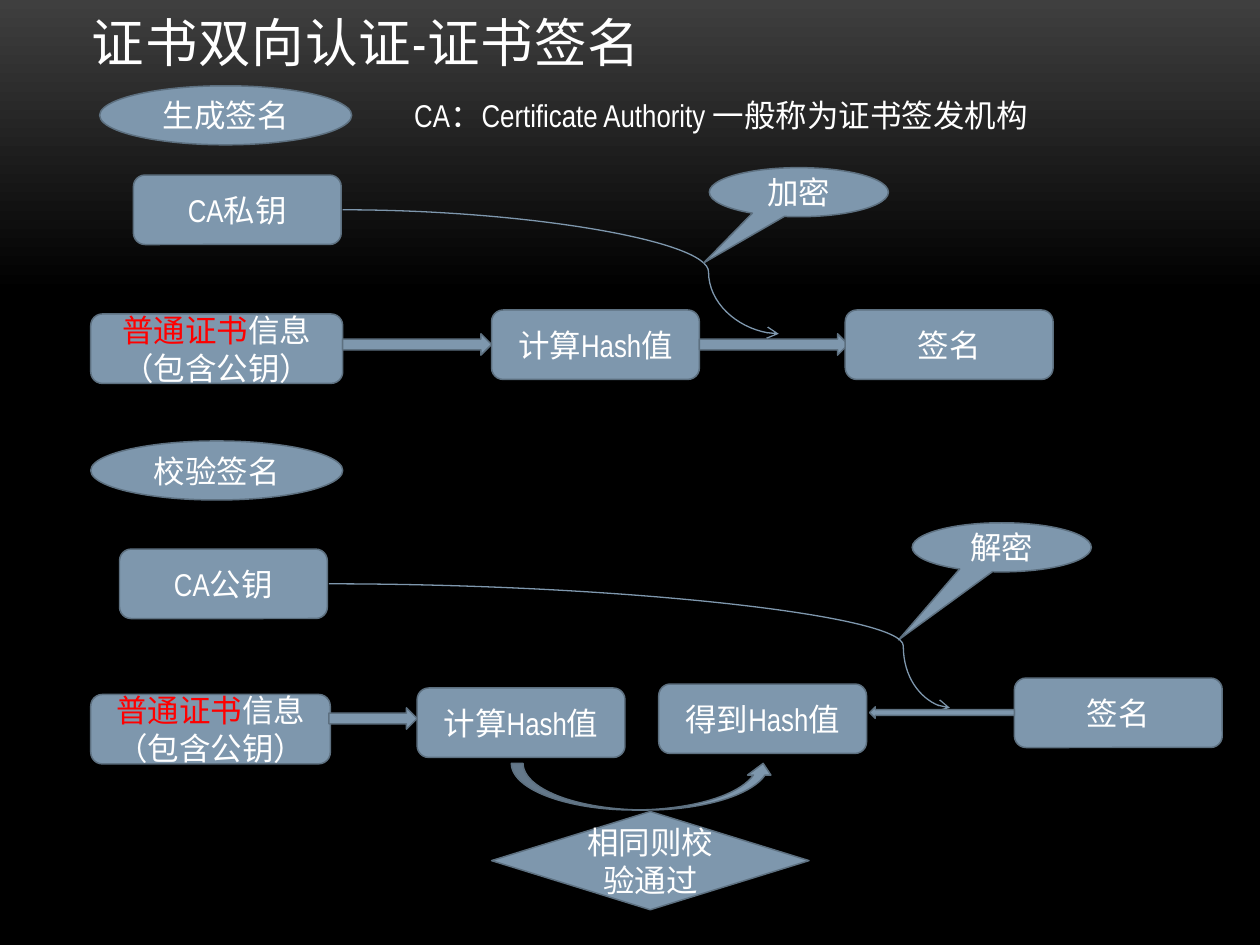
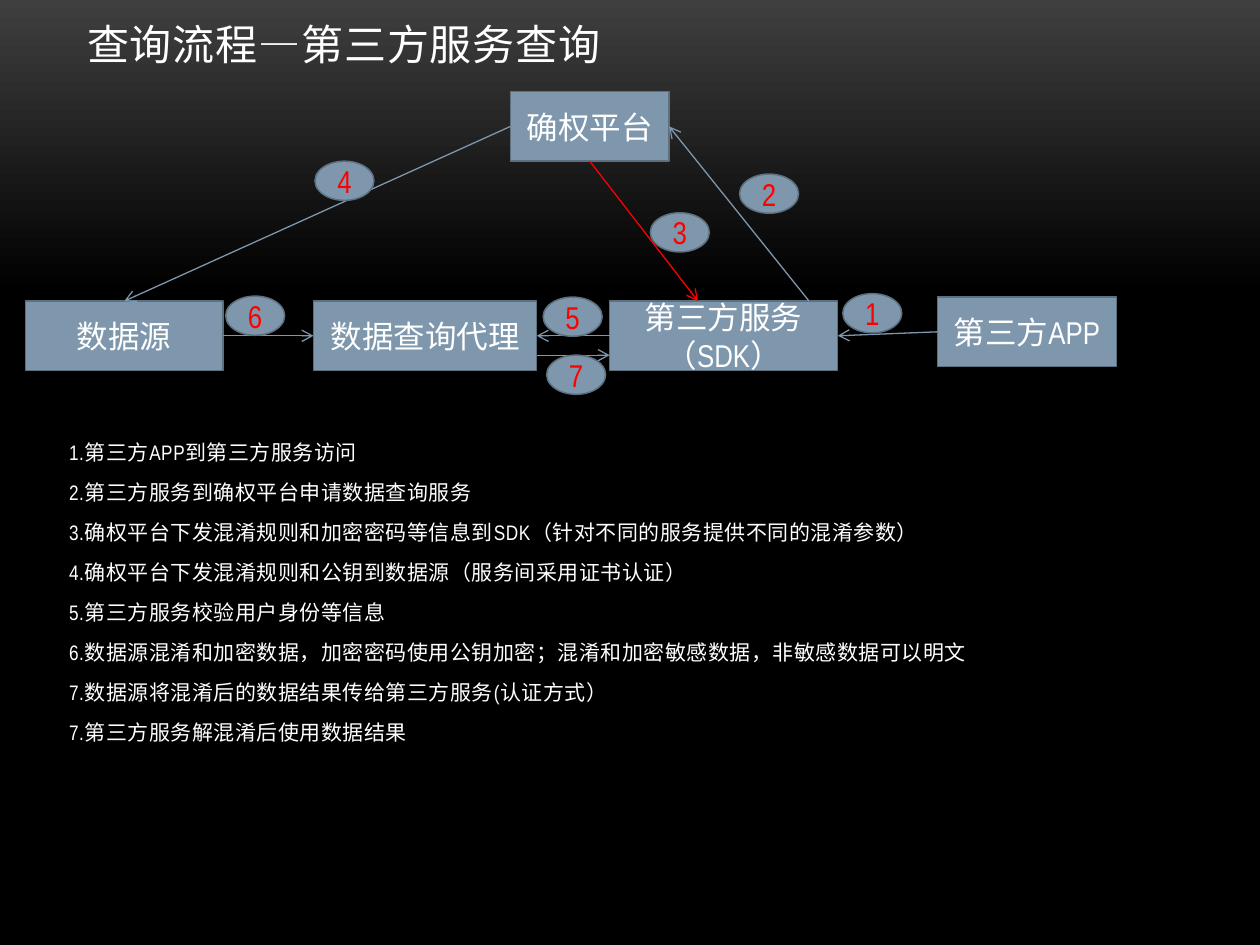
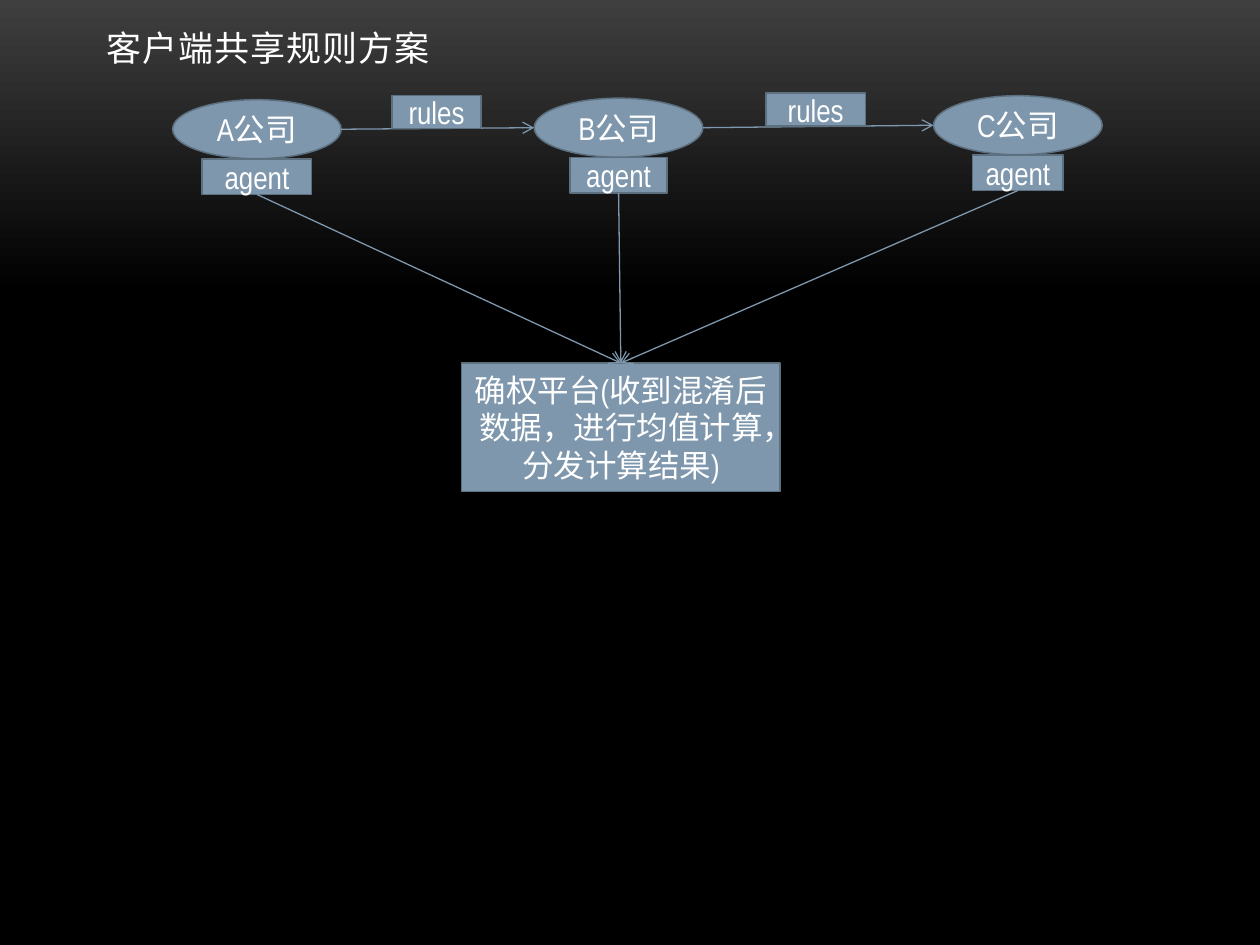
from dataclasses import dataclass
from typing import NamedTuple

from lxml import etree
from pptx import Presentation
from pptx.dml.color import RGBColor
from pptx.enum.shapes import MSO_CONNECTOR, MSO_SHAPE
from pptx.enum.text import MSO_ANCHOR, MSO_AUTO_SIZE, PP_ALIGN
from pptx.oxml.ns import qn
from pptx.util import Cm, Pt

RECT, ROUND, OVAL = MSO_SHAPE.RECTANGLE, MSO_SHAPE.ROUNDED_RECTANGLE, MSO_SHAPE.OVAL
CALLOUT, DECISION = MSO_SHAPE.OVAL_CALLOUT, MSO_SHAPE.FLOWCHART_DECISION
RIGHT_ARROW, LEFT_ARROW = MSO_SHAPE.RIGHT_ARROW, MSO_SHAPE.LEFT_ARROW
CURVED_UP = MSO_SHAPE.CURVED_UP_ARROW
STRAIGHT, CURVE = MSO_CONNECTOR.STRAIGHT, MSO_CONNECTOR.CURVE
LEFT, CENTER = PP_ALIGN.LEFT, PP_ALIGN.CENTER
TOP_ANCHOR, BOTTOM_ANCHOR, NO_FIT = MSO_ANCHOR.TOP, MSO_ANCHOR.BOTTOM, MSO_AUTO_SIZE.NONE
TOP, LEFT_SIDE, BOTTOM, RIGHT_SIDE = range(4)
TITLE_AND_BODY, TITLE_ONLY = 1, 5


@dataclass(frozen=True)
class Theme:
    font: str = "Arial Narrow"
    text: RGBColor = RGBColor(0xFF, 0xFF, 0xFF)
    accent: RGBColor = RGBColor(0xFF, 0x00, 0x00)
    fill: RGBColor = RGBColor(0x7E, 0x97, 0xAD)
    outline: RGBColor = RGBColor(0x5D, 0x70, 0x80)
    back_top: RGBColor = RGBColor(0x3F, 0x3F, 0x3F)
    back: RGBColor = RGBColor(0x00, 0x00, 0x00)
    label_size: Pt = Pt(18)
    list_size: Pt = Pt(12)
    outline_width: Pt = Pt(0.85)
    line_width: Pt = Pt(0.75)


THEME = Theme()
BOX_SIZE = (4.19, 1.4)
STAGE_SIZE = (5.08, 1.19)
CALLOUT_SIZE = (3.61, 0.99)
BADGE_SIZE = (1.19, 0.79)
COMPANY_SIZE = (3.4, 1.19)


class Box(NamedTuple):
    """A region in centimetres; its contents are given relative to its corner."""
    left: float
    top: float
    width: float
    height: float

    def point(self, x, y):
        return Cm(self.left + x), Cm(self.top + y)

    def area(self, x, y, w, h):
        return (*self.point(x, y), Cm(w), Cm(h))


def set_attrs(obj, **values):
    for name, value in values.items():
        setattr(obj, name, value)


def place(sp, box):
    set_attrs(sp, left=Cm(box.left), top=Cm(box.top), width=Cm(box.width), height=Cm(box.height))


def add_run(p, text, size, color=THEME.text, spacing=None):
    r = p.add_run()
    r.text = text
    set_attrs(r.font, name=THEME.font, size=size)
    r.font.color.rgb = color
    if spacing:
        r._r.get_or_add_rPr().set("spc", str(spacing))


def node(slide, kind, bounds, *runs, color=THEME.text, adjust=()):
    """Add a filled shape; a run is a string or a (string, colour) pair."""
    sp = slide.shapes.add_shape(kind, *bounds)
    sp.shadow.inherit = False
    sp.fill.solid()
    sp.fill.fore_color.rgb = THEME.fill
    sp.line.color.rgb = THEME.outline
    sp.line.width = THEME.outline_width
    for i, value in enumerate(adjust):
        sp.adjustments[i] = value
    p = sp.text_frame.paragraphs[0]
    p.alignment = CENTER
    for run in runs:
        text, run_color = (run, color) if isinstance(run, str) else run
        add_run(p, text, THEME.label_size, run_color)
    return sp


def arrow(slide, start, end, color=THEME.fill, bend=None):
    """Join two ends, each a point or a (shape, side) pair."""
    points = [(0, 0) if hasattr(e[0], "shape_id") else e for e in (start, end)]
    cn = slide.shapes.add_connector(STRAIGHT if bend is None else CURVE, *points[0], *points[1])
    for e, connect in ((start, cn.begin_connect), (end, cn.end_connect)):
        if hasattr(e[0], "shape_id"):
            connect(*e)
    cn.line.color.rgb = color
    cn.line.width = THEME.line_width
    props = cn.element.spPr
    etree.SubElement(props.find(qn("a:ln")), qn("a:tailEnd"), type="arrow")
    etree.SubElement(props, qn("a:effectLst"))
    if bend is not None:
        guides = props.find(qn("a:prstGeom")).get_or_add_avLst()
        etree.SubElement(guides, qn("a:gd"), name="adj1", fmla=f"val {round(bend * 100000)}")


def new_slide(prs, layout, title, size, box):
    slide = prs.slides.add_slide(prs.slide_layouts[layout])
    sp = slide.shapes.title
    place(sp, box)
    tf = sp.text_frame
    set_attrs(tf, vertical_anchor=BOTTOM_ANCHOR, auto_size=NO_FIT, word_wrap=True)
    tf.paragraphs[0].alignment = LEFT
    add_run(tf.paragraphs[0], title, Pt(size), spacing=50)
    return slide


def step_list(slide, box, lines):
    sp = slide.placeholders[1]
    place(sp, box)
    tf = sp.text_frame
    set_attrs(tf, vertical_anchor=TOP_ANCHOR, auto_size=NO_FIT, word_wrap=True)
    for i, line in enumerate(lines):
        p = tf.add_paragraph() if i else tf.paragraphs[0]
        props = p._p.get_or_add_pPr()
        props.set("marL", "0")
        props.set("indent", "0")
        etree.SubElement(props, qn("a:buNone"))
        set_attrs(p, alignment=LEFT, space_before=Pt(2.4 if i else 0), space_after=Pt(6))
        add_run(p, line, THEME.list_size, spacing=30)


def certificate(slide, bounds):
    node(slide, ROUND, bounds, ("普通证书", THEME.accent), "信息（包含公钥）")


def signing_region(slide, box):
    node(slide, ROUND, box.area(0.86, 1.8, *BOX_SIZE), "CA私钥")
    certificate(slide, box.area(0, 4.6, 5.08, 1.4))
    node(slide, RIGHT_ARROW, box.area(5.08, 5, 3, 0.43))
    node(slide, ROUND, box.area(8.08, 4.52, *BOX_SIZE), "计算Hash值")
    arrow(slide, box.point(5.08, 2.5), box.point(13.87, 5), bend=0.839)
    node(slide, CALLOUT, box.area(12.47, 1.65, *CALLOUT_SIZE), "加密", adjust=(-0.531, 1.438))
    node(slide, RIGHT_ARROW, box.area(12.27, 5, 3, 0.43))
    node(slide, ROUND, box.area(15.21, 4.52, *BOX_SIZE), "签名")
    node(slide, OVAL, box.area(0.18, 0, *STAGE_SIZE), "生成签名")
    tf = slide.shapes.add_textbox(*box.area(6.27, 0.08, 14.2, 1.02)).text_frame
    tf.word_wrap = True
    add_run(tf.paragraphs[0], "CA：Certificate Authority 一般称为证书签发机构", THEME.label_size)


def verifying_region(slide, box):
    node(slide, ROUND, box.area(0.58, 2.18, *BOX_SIZE), "CA公钥")
    certificate(slide, box.area(0, 5.11, 4.83, 1.4))
    node(slide, RIGHT_ARROW, box.area(4.8, 5.38, 1.78, 0.43))
    node(slide, ROUND, box.area(11.45, 4.9, *BOX_SIZE), "得到Hash值")
    node(slide, CALLOUT, box.area(16.56, 1.65, *CALLOUT_SIZE), "解密", adjust=(-0.577, 1.885))
    node(slide, ROUND, box.area(18.62, 4.78, *BOX_SIZE), "签名")
    node(slide, OVAL, box.area(0, 0, *STAGE_SIZE), "校验签名")
    arrow(slide, box.point(4.8, 2.88), box.point(17.32, 5.38), bend=0.925)
    node(slide, LEFT_ARROW, box.area(15.7, 5.36, 2.92, 0.23))
    node(slide, ROUND, box.area(6.58, 4.98, *BOX_SIZE), "计算Hash值")
    node(slide, CURVED_UP, box.area(8.48, 6.5, 5.31, 0.94))
    node(slide, DECISION, box.area(8.08, 7.47, 6.4, 1.98), "相同则校验通过")


def query_region(slide, box):
    app = node(slide, RECT, box.area(18.39, 4.14, 3.61, 1.4), "第三方APP")
    platform = node(slide, RECT, box.area(9.78, 0, 3.2, 1.4), "确权平台")
    service = node(slide, RECT, box.area(11.78, 4.22, 4.6, 1.4), "第三方服务（SDK）")
    source = node(slide, RECT, box.area(0, 4.22, 3.99, 1.4), "数据源")
    proxy = node(slide, RECT, box.area(5.81, 4.22, 4.5, 1.4), "数据查询代理")

    arrow(slide, (app, LEFT_SIDE), (service, RIGHT_SIDE))
    arrow(slide, box.point(15.8, 4.22), (platform, RIGHT_SIDE))
    arrow(slide, (platform, LEFT_SIDE), (source, TOP))
    arrow(slide, (service, LEFT_SIDE), (proxy, RIGHT_SIDE))
    arrow(slide, (source, RIGHT_SIDE), (proxy, LEFT_SIDE))
    arrow(slide, box.point(10.31, 5.31), box.point(11.78, 5.31))

    badges = [(16.48, 4.07), (14.4, 1.66), (12.6, 2.44), (5.84, 1.4),
              (10.44, 4.14), (4.04, 4.12), (10.51, 5.31)]
    for number, corner in enumerate(badges, 1):
        node(slide, OVAL, box.area(*corner, *BADGE_SIZE), str(number), color=THEME.accent)
    arrow(slide, (platform, BOTTOM), box.point(13.56, 4.22), color=THEME.accent)


def sharing_region(slide, box):
    platform = node(slide, RECT, box.area(5.82, 5.44, 6.43, 2.59),
                    "确权平台(收到混淆后数据，进行均值计算，分发计算结果)")
    w, h = COMPANY_SIZE
    companies = [("A公司", 0, 0.13, 2.21), ("B公司", 7.29, 0.1, 1.96), ("C公司", 15.34, 0.05, 1.83)]
    for name, x, y, agent_w in companies:
        agent = node(slide, RECT, box.area(x + (w - agent_w) / 2, y + 1.2, agent_w, 0.71), "agent")
        node(slide, OVAL, box.area(x, y, w, h), name)
        arrow(slide, (agent, BOTTOM), (platform, TOP))
    for (_, x, y, _), (_, next_x, next_y, _) in zip(companies, companies[1:]):
        arrow(slide, box.point(x + w, y + h / 2), box.point(next_x, next_y + h / 2))
    for x, y, rules_w in ((4.42, 0.05, 1.8), (11.96, 0, 2.01)):
        node(slide, RECT, box.area(x, y, rules_w, 0.66), "rules")


def set_background(master):
    fill = master.background.fill
    fill.gradient()
    fill.gradient_angle = 270
    for stop, position, color in zip(fill.gradient_stops, (0, 0.31), (THEME.back_top, THEME.back)):
        stop.position = position
        stop.color.rgb = color


def main():
    prs = Presentation()
    set_attrs(prs, slide_width=Cm(25.4), slide_height=Cm(19.05))
    set_background(prs.slide_master)

    slide = new_slide(prs, TITLE_ONLY, "证书双向认证-证书签名", 30, Box(1.6, 0.05, 22.02, 1.55))
    signing_region(slide, Box(1.83, 1.73, 20.5, 6))
    verifying_region(slide, Box(1.83, 8.89, 22.8, 9.45))

    slide = new_slide(prs, TITLE_AND_BODY, "查询流程—第三方服务查询", 24, Box(1.5, 0.33, 22.02, 1.19))
    query_region(slide, Box(0.51, 1.85, 22, 6.1))
    step_list(slide, Box(1.14, 8.74, 22.02, 6.81), [
        "1.第三方APP到第三方服务访问",
        "2.第三方服务到确权平台申请数据查询服务",
        "3.确权平台下发混淆规则和加密密码等信息到SDK（针对不同的服务提供不同的混淆参数）",
        "4.确权平台下发混淆规则和公钥到数据源（服务间采用证书认证）",
        "5.第三方服务校验用户身份等信息",
        "6.数据源混淆和加密数据，加密密码使用公钥加密；混淆和加密敏感数据，非敏感数据可以明文",
        "7.数据源将混淆后的数据结果传给第三方服务(认证方式）",
        "7.第三方服务解混淆后使用数据结果",
    ])

    slide = new_slide(prs, TITLE_ONLY, "客户端共享规则方案", 20, Box(1.9, 0.33, 22.02, 1.17))
    sharing_region(slide, Box(3.48, 1.88, 18.74, 8.03))

    prs.save("out.pptx")


if __name__ == "__main__":
    main()
